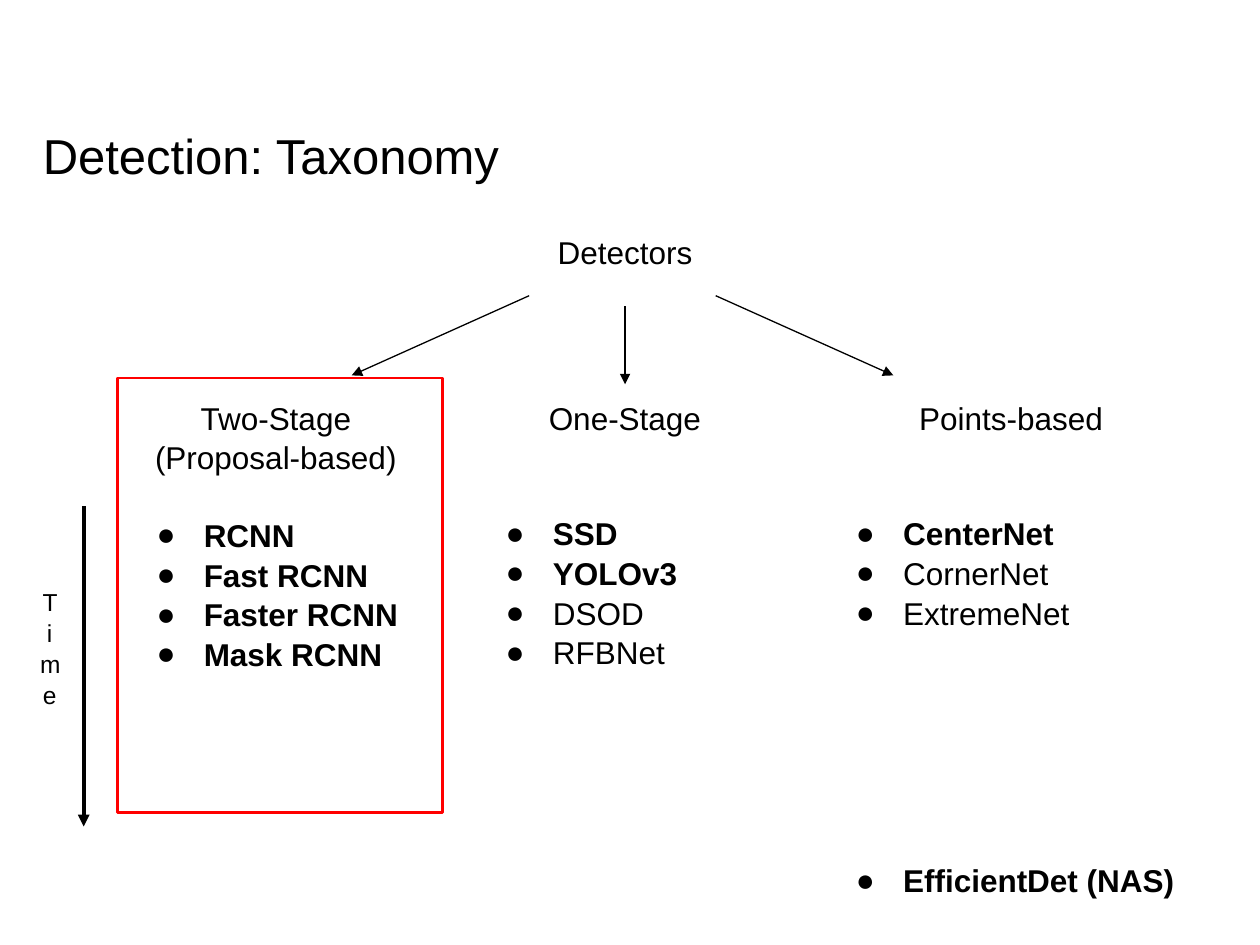
import pptx
import pptx.dml.color
import pptx.enum.shapes
import pptx.enum.text
import pptx.oxml.ns
import pptx.util
from lxml import etree

Pt = pptx.util.Pt
ALIGN = pptx.enum.text.PP_ALIGN
BLACK = pptx.dml.color.RGBColor(0, 0, 0)
RED = pptx.dml.color.RGBColor(255, 0, 0)
FONT = "Arial"
LEAD = 1.05
ROW = 21.7  # height of one line of 18 pt text

# left, top, width, height, header, rows skipped below it,
# items as (text, bold, rows skipped above)
GROUPS = [
    (272.9, 219.6, 168.5, 223, "One-Stage", 2,
     [("SSD", True, 0), ("YOLOv3", True, 0),
      ("DSOD", False, 0), ("RFBNet", False, 0)]),
    (73.4, 219.6, 168.5, 241, "Two-Stage (Proposal-based)", 1,
     [("RCNN", True, 0), ("Fast RCNN", True, 0),
      ("Faster RCNN", True, 0), ("Mask RCNN", True, 0)]),
    (473, 219.6, 209.5, 307.4, "Points-based", 2,
     [("CenterNet", True, 0), ("CornerNet", False, 0),
      ("ExtremeNet", False, 0), ("EfficientDet (NAS)", True, 6)]),
]
# x1, y1, x2, y2, line width
ARROWS = [
    (302.4, 169, 201, 214.5, 0.75),
    (409, 169, 510.5, 214.5, 0.75),
    (357.2, 175, 357.2, 219.6, 0.75),
    (47.8, 289.2, 47.8, 472.3, 2.25),
]


def add(parent, tag, **attrs):
    return etree.SubElement(parent, pptx.oxml.ns.qn(tag), attrs)


def write(para, text, size, align, bold=False):
    para.text = text
    para.alignment = align
    para.line_spacing = LEAD
    font = para.runs[0].font
    font.name, font.size, font.bold = FONT, Pt(size), bold
    font.color.rgb = BLACK


def label(slide, left, top, width, height, text, size,
          align=ALIGN.CENTER, inset=7.2):
    box = slide.shapes.add_textbox(Pt(left), Pt(top), Pt(width), Pt(height))
    frame = box.text_frame
    frame.word_wrap = True
    frame.margin_left = frame.margin_right = Pt(inset)
    frame.margin_top = frame.margin_bottom = Pt(7.2)
    write(frame.paragraphs[0], text, size, align)
    return frame


def bullet(para):
    props = para._p.get_or_add_pPr()
    props.set("marL", str(Pt(36)))
    props.set("indent", str(-Pt(27)))
    add(add(props, "a:buClr"), "a:srgbClr", val=str(BLACK))
    add(props, "a:buFont", typeface=FONT)
    add(props, "a:buChar", char="●")


def group(slide, left, top, width, height, head, skip, items):
    """Draw a centred header with its list of detectors."""
    frame = label(slide, left, top, width, height, head, 18)
    frame.paragraphs[0].space_after = Pt(skip * ROW)
    for text, bold, gap in items:
        para = frame.add_paragraph()
        bullet(para)
        write(para, text, 18, ALIGN.LEFT, bold)
        para.space_before = Pt(gap * ROW)


def arrow(slide, x1, y1, x2, y2, width):
    line = slide.shapes.add_connector(
        pptx.enum.shapes.MSO_CONNECTOR.STRAIGHT,
        Pt(x1), Pt(y1), Pt(x2), Pt(y2))
    line.line.color.rgb = BLACK
    line.line.width = Pt(width)
    add(line.line._get_or_add_ln(), "a:tailEnd", type="triangle")
    add(line._element.spPr, "a:effectLst")


def frame_box(slide, left, top, width, height):
    box = slide.shapes.add_shape(
        pptx.enum.shapes.MSO_SHAPE.RECTANGLE,
        Pt(left), Pt(top), Pt(width), Pt(height))
    box.shadow.inherit = False
    box.fill.background()
    box.line.color.rgb = RED
    box.line.width = Pt(1.5)


def main():
    deck = pptx.Presentation()
    deck.slide_width, deck.slide_height = Pt(720), Pt(540)
    slide = deck.slides.add_slide(deck.slide_layouts[6])
    frame_box(slide, 67, 216, 185.8, 248.4)
    label(slide, 24.5, 62.6, 671, 80, "Detection: Taxonomy", 28,
          ALIGN.LEFT, 0)
    label(slide, 272.9, 124.6, 168.5, 50.4, "Detectors", 18)
    for item in GROUPS:
        group(slide, *item)
    for item in ARROWS:
        arrow(slide, *item)
    label(slide, 15.8, 327.6, 25.2, 106.6, "Time", 14)
    deck.save("out.pptx")


if __name__ == "__main__":
    main()
